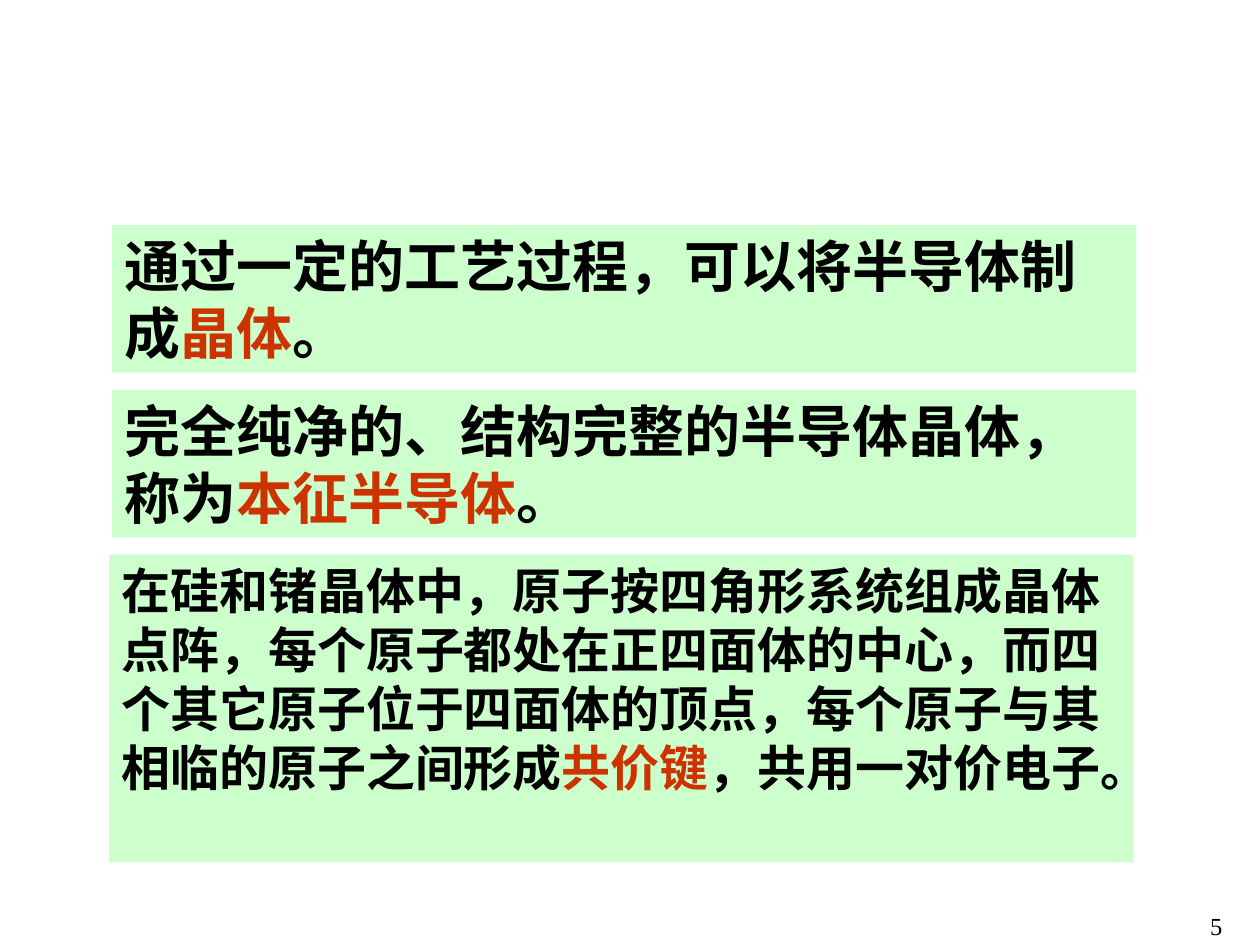
from dataclasses import dataclass

from pptx import Presentation
from pptx.dml.color import RGBColor
from pptx.enum.text import MSO_ANCHOR, MSO_AUTO_SIZE as AutoSize, PP_ALIGN
from pptx.slide import Slide
from pptx.text.text import Font
from pptx.util import Cm, Pt

BLACK = RGBColor(0x00, 0x00, 0x00)
RED = RGBColor(0xCC, 0x33, 0x00)
PALE_GREEN = RGBColor(0xCC, 0xFF, 0xCC)
FONT_NAME = "Times New Roman"
PANEL_WIDTH = 20.65


@dataclass
class Panel:
    """A green statement with one highlighted term; lengths in cm."""
    left: float
    top: float
    height: float
    size: int
    before: str
    term: str
    after: str


PANELS = [
    Panel(2.26, 4.54, 2.97, 32,
          "通过一定的工艺过程，可以将半导体制成", "晶体", "。"),
    Panel(2.26, 7.86, 2.97, 32,
          "完全纯净的、结构完整的半导体晶体，称为", "本征半导体", "。"),
    Panel(2.2, 11.18, 6.2, 28,
          "在硅和锗晶体中，原子按四角形系统组成晶体点阵，"
          "每个原子都处在正四面体的中心，而四个其它原子位于四面体的顶点，"
          "每个原子与其相临的原子之间形成",
          "共价键", "，共用一对价电子。"),
]


def style_font(font: Font, size: int, color: RGBColor, bold: bool) -> None:
    font.name = FONT_NAME
    font.size = Pt(size)
    font.bold = bold
    font.color.rgb = color


def draw_panel(page: Slide, panel: Panel) -> None:
    box = page.shapes.add_textbox(Cm(panel.left), Cm(panel.top),
                                  Cm(PANEL_WIDTH), Cm(panel.height))
    box.fill.solid()
    box.fill.fore_color.rgb = PALE_GREEN
    frame = box.text_frame
    frame.word_wrap = True
    frame.auto_size = AutoSize.SHAPE_TO_FIT_TEXT
    para = frame.paragraphs[0]
    for text, color in ((panel.before, BLACK), (panel.term, RED),
                        (panel.after, BLACK)):
        span = para.add_run()
        span.text = text
        style_font(span.font, panel.size, color, bold=True)


def draw_page_number(page: Slide, number: str) -> None:
    box = page.shapes.add_textbox(Cm(22.07), Cm(18.24), Cm(4.9), Cm(0.84))
    frame = box.text_frame
    frame.word_wrap = True
    frame.vertical_anchor = MSO_ANCHOR.MIDDLE
    frame.text = number
    para = frame.paragraphs[0]
    para.alignment = PP_ALIGN.CENTER
    style_font(para.runs[0].font, 14, BLACK, bold=False)


def main() -> None:
    deck = Presentation()
    deck.slide_width, deck.slide_height = Cm(25.4), Cm(19.05)
    page = deck.slides.add_slide(deck.slide_layouts[6])

    # Statements
    for panel in PANELS:
        draw_panel(page, panel)

    # Page number
    draw_page_number(page, "5")

    deck.save("out.pptx")


if __name__ == "__main__":
    main()
